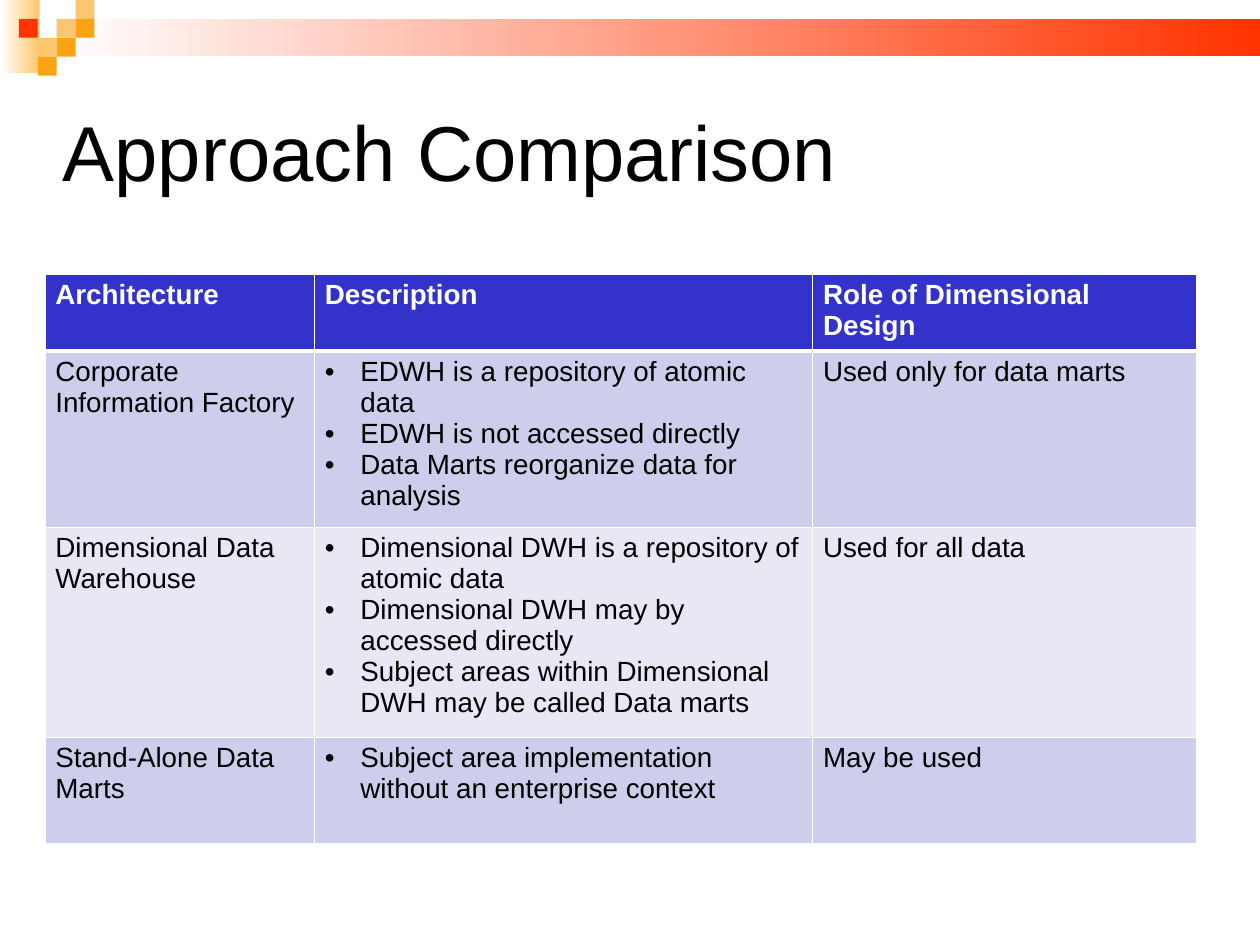
from dataclasses import dataclass

from lxml import etree
from pptx import Presentation
from pptx.dml.color import RGBColor
from pptx.enum.shapes import MSO_SHAPE
from pptx.enum.text import MSO_ANCHOR
from pptx.oxml.ns import qn
from pptx.util import Cm, Pt


@dataclass(frozen=True)
class Theme:
    font: str = "Arial"
    title_size: float = 49
    table_size: float = 17.5
    text: str = "000000"
    white: str = "FFFFFF"
    red: str = "FF3300"
    orange: str = "FBA313"
    light_orange: str = "FCC66E"
    header: str = "3333CC"
    bands: tuple = ("CDCDEC", "E8E8F5")
    border: float = 0.96
    header_border: float = 3


THEME = Theme()
SQUARE = 0.42
MOSAIC = [
    (3, 1, THEME.light_orange),
    (4, 0, THEME.light_orange),
    (4, 1, THEME.orange),
    (2, 2, THEME.light_orange),
    (1, 1, THEME.red),
    (3, 2, THEME.orange),
    (2, 3, THEME.orange),
]
COLUMN_WIDTHS = [5.99, 11.07, 8.53]
ROW_HEIGHTS = [1.65, 3.76, 4.47, 2.36]
HEADINGS = ["Architecture", "Description", "Role of Dimensional Design"]
APPROACHES = [
    ("Corporate Information Factory",
     ["EDWH is a repository of atomic data",
      "EDWH is not accessed directly",
      "Data Marts reorganize data for analysis"],
     "Used only for data marts"),
    ("Dimensional Data Warehouse",
     ["Dimensional DWH is a repository of atomic data",
      "Dimensional DWH may by accessed directly",
      "Subject areas within Dimensional DWH may be called Data marts"],
     "Used for all data"),
    ("Stand-Alone Data Marts",
     ["Subject area implementation without an enterprise context"],
     "May be used"),
]


def rgb(color):
    return RGBColor.from_string(color)


def add_rectangle(slide, left, top, width, height):
    shape = slide.shapes.add_shape(
        MSO_SHAPE.RECTANGLE, Cm(left), Cm(top), Cm(width), Cm(height))
    shape.shadow.inherit = False
    shape.line.fill.background()
    return shape


def add_fading_bar(slide, left, top, width, height, color):
    fill = add_rectangle(slide, left, top, width, height).fill
    fill.gradient()
    fill.gradient_angle = 180
    for stop, stop_color in zip(fill.gradient_stops, (color, THEME.white)):
        stop.color.rgb = rgb(stop_color)


def add_square(slide, column, row, color):
    square = add_rectangle(slide, column * SQUARE, row * SQUARE, SQUARE, SQUARE)
    square.fill.solid()
    square.fill.fore_color.rgb = rgb(color)


def write(paragraph, text, size, color, bold=False):
    run = paragraph.add_run()
    run.text = text
    run.font.name = THEME.font
    run.font.size = Pt(size)
    run.font.bold = bold
    run.font.color.rgb = rgb(color)


def add_title(slide, text):
    frame = slide.shapes.add_textbox(Cm(1.4), Cm(1.4), Cm(25.2), Cm(4.19)).text_frame
    frame.word_wrap = True
    frame.vertical_anchor = MSO_ANCHOR.MIDDLE
    frame.margin_left = frame.margin_right = frame.margin_top = frame.margin_bottom = 0
    frame.paragraphs[0].line_spacing = 0.87
    write(frame.paragraphs[0], text, THEME.title_size, THEME.text)


def add_bullet(paragraph):
    properties = paragraph._p.get_or_add_pPr()
    properties.set("marL", str(Cm(0.79)))
    properties.set("indent", str(-Cm(0.79)))
    etree.SubElement(properties, qn("a:buFont"), typeface=THEME.font)
    etree.SubElement(properties, qn("a:buChar"), char="•")


def set_borders(cell, top, bottom):
    properties = cell._tc.get_or_add_tcPr()
    sides = {"L": THEME.border, "R": THEME.border, "T": top, "B": bottom}
    for side, width in sides.items():
        line = etree.SubElement(properties, qn(f"a:ln{side}"), w=str(Pt(width)))
        fill = etree.SubElement(line, qn("a:solidFill"))
        etree.SubElement(fill, qn("a:srgbClr"), val=THEME.white)


def fill_cell(cell, content, row):
    is_header = row == 0
    set_borders(cell,
                THEME.header_border if row == 1 else THEME.border,
                THEME.header_border if is_header else THEME.border)
    cell.fill.solid()
    cell.fill.fore_color.rgb = rgb(THEME.header if is_header else THEME.bands[(row - 1) % 2])
    cell.margin_left = cell.margin_right = Cm(0.23)
    cell.margin_top = cell.margin_bottom = Cm(0.11)
    bulleted = isinstance(content, list)
    for index, text in enumerate(content if bulleted else [content]):
        frame = cell.text_frame
        paragraph = frame.add_paragraph() if index else frame.paragraphs[0]
        if bulleted:
            add_bullet(paragraph)
        write(paragraph, text, THEME.table_size,
              THEME.white if is_header else THEME.text, is_header)


def add_comparison_table(slide):
    rows = [HEADINGS, *APPROACHES]
    table = slide.shapes.add_table(
        len(rows), len(HEADINGS), Cm(1), Cm(6.1),
        Cm(sum(COLUMN_WIDTHS)), Cm(sum(ROW_HEIGHTS))).table
    for column, width in zip(table.columns, COLUMN_WIDTHS):
        column.width = Cm(width)
    for row, height in zip(table.rows, ROW_HEIGHTS):
        row.height = Cm(height)
    for row, contents in enumerate(rows):
        for column, content in enumerate(contents):
            fill_cell(table.cell(row, column), content, row)


def main():
    presentation = Presentation()
    presentation.slide_width = Cm(28)
    presentation.slide_height = Cm(21)
    slide = presentation.slides.add_slide(presentation.slide_layouts[6])
    add_fading_bar(slide, 0, 0, 0.88, 1.62, THEME.light_orange)
    add_fading_bar(slide, 1.26, SQUARE, 26.74, 0.83, THEME.red)
    for column, row, color in MOSAIC:
        add_square(slide, column, row, color)
    add_title(slide, "Approach Comparison")
    add_comparison_table(slide)
    presentation.save("out.pptx")


main()
